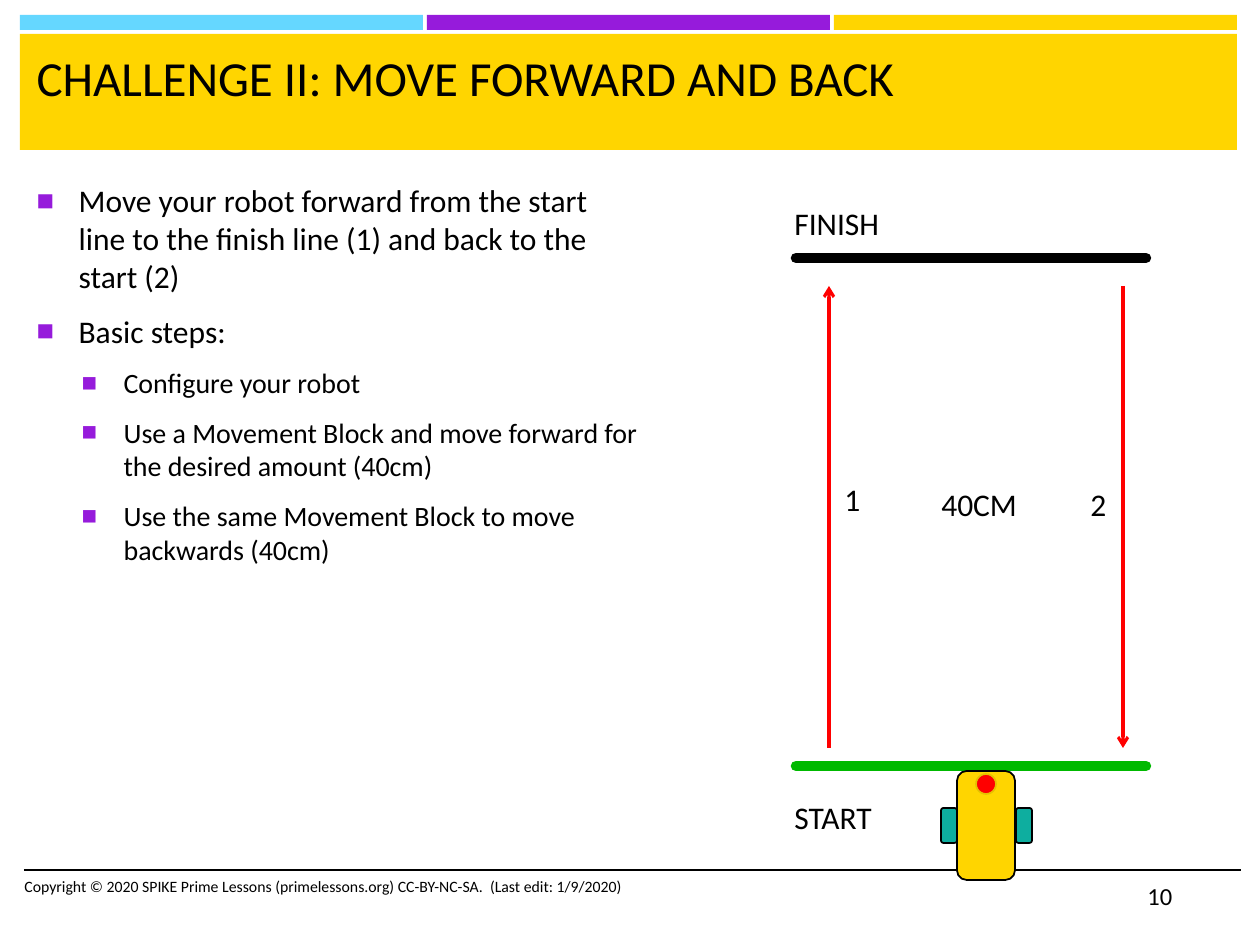
from dataclasses import dataclass

from lxml import etree
from pptx import Presentation
from pptx.dml.color import RGBColor
from pptx.enum.shapes import MSO_CONNECTOR, MSO_SHAPE
from pptx.enum.text import MSO_ANCHOR, MSO_AUTO_SIZE, PP_ALIGN
from pptx.oxml.ns import qn
from pptx.util import Emu, Pt

RECTANGLE = MSO_SHAPE.RECTANGLE
ROUNDED = MSO_SHAPE.ROUNDED_RECTANGLE
OVAL = MSO_SHAPE.OVAL
STRAIGHT = MSO_CONNECTOR.STRAIGHT
TOP, MIDDLE = MSO_ANCHOR.TOP, MSO_ANCHOR.MIDDLE
LEFT = PP_ALIGN.LEFT
NO_FIT = MSO_AUTO_SIZE.NONE

EMU_PER_PX = 914400 / 126
FONT = "Calibri"
HANGING = 42
COLOURS = {
    "sky": "65D7FF",
    "purple": "961BDB",
    "yellow": "FFD500",
    "black": "000000",
    "green": "00B900",
    "red": "FF0000",
    "teal": "0EAE9F",
    "gold": "E6C000",
}


@dataclass(frozen=True)
class Block:
    kind: MSO_SHAPE
    left: int
    top: int
    width: int
    height: int
    fill: str
    outline: str = ""


@dataclass(frozen=True)
class Stroke:
    x1: int
    y1: int
    x2: int
    y2: int
    colour: str
    weight: float
    arrow: bool = False
    rounded: bool = False


@dataclass(frozen=True)
class Label:
    text: str
    left: int
    top: int
    width: int
    size: int = 18
    anchor: MSO_ANCHOR = TOP
    wrap: bool = True


@dataclass(frozen=True)
class Bullet:
    text: str
    level: int = 0


BAR_COLOURS = ("sky", "purple", "yellow")
BAR_WIDTH, BAR_STEP = 403, 407
BANNER = [
    Block(RECTANGLE, 20 + index * BAR_STEP, 15, BAR_WIDTH, 15, colour)
    for index, colour in enumerate(BAR_COLOURS)
] + [Block(RECTANGLE, 20, 34, 1217, 116, "yellow")]

STROKES = [
    Stroke(24, 870, 1241, 870, "black", 1),
    Stroke(1146, 258, 796, 258, "black", 6, rounded=True),
    Stroke(1146, 766, 796, 766, "green", 6, rounded=True),
    Stroke(829, 748, 829, 286, "red", 1.75, arrow=True),
    Stroke(1123, 286, 1123, 748, "red", 1.75, arrow=True),
]

ROBOT = [
    Block(ROUNDED, 957, 771, 58, 109, "yellow", "black"),
    Block(ROUNDED, 1016, 808, 16, 35, "teal", "black"),
    Block(ROUNDED, 941, 808, 16, 35, "teal", "black"),
    Block(OVAL, 976, 774, 20, 20, "red", "gold"),
]

LABELS = [
    Label("Copyright © 2020 SPIKE Prime Lessons (primelessons.org) CC-BY-NC-SA.  "
          "(Last edit: 1/9/2020)", 12, 871, 672, size=9),
    Label("1", 832, 474, 43),
    Label("2", 1078, 479, 43),
    Label("FINISH", 782, 198, 130, wrap=False),
    Label("START", 782, 792, 126, wrap=False),
    Label("40CM", 929, 479, 114),
    Label("10", 1135, 871, 106, size=14, anchor=MIDDLE),
]

BULLETS = [
    Bullet("Move your robot forward from the start line to the finish line (1) "
           "and back to the start (2)"),
    Bullet("Basic steps:"),
    Bullet("Configure your robot", 1),
    Bullet("Use a Movement Block and move forward for the desired amount (40cm)", 1),
    Bullet("Use the same Movement Block to move backwards (40cm)", 1),
]


def px(value: int) -> Emu:
    return Emu(round(value * EMU_PER_PX))


def rgb(name: str) -> RGBColor:
    return RGBColor.from_string(COLOURS[name])


def apply(target, values: dict) -> None:
    for name, value in values.items():
        setattr(target, name, value)


def place(shape, left: int, top: int, width: int, height: int) -> None:
    apply(shape, {"left": px(left), "top": px(top),
                  "width": px(width), "height": px(height)})


def write(paragraph, text: str, size: int) -> None:
    paragraph.alignment = LEFT
    span = paragraph.add_run()
    span.text = text
    apply(span.font, {"name": FONT, "size": Pt(size), "bold": False})
    span.font.color.rgb = rgb("black")


def draw_block(page, block: Block) -> None:
    shape = page.shapes.add_shape(block.kind, px(block.left), px(block.top),
                                  px(block.width), px(block.height))
    shape.shadow.inherit = False
    shape.fill.solid()
    shape.fill.fore_color.rgb = rgb(block.fill)
    if block.outline:
        shape.line.color.rgb = rgb(block.outline)
        shape.line.width = Pt(1)
    else:
        shape.line.fill.background()


def draw_stroke(page, stroke: Stroke) -> None:
    connector = page.shapes.add_connector(STRAIGHT, px(stroke.x1), px(stroke.y1),
                                          px(stroke.x2), px(stroke.y2))
    connector.line.color.rgb = rgb(stroke.colour)
    connector.line.width = Pt(stroke.weight)
    outline = connector.line._get_or_add_ln()
    if stroke.rounded:
        outline.set("cap", "rnd")
    if stroke.arrow:
        etree.SubElement(outline, qn("a:tailEnd"), type="arrow")
    etree.SubElement(connector.element.spPr, qn("a:effectLst"))


def draw_label(page, label: Label) -> None:
    box = page.shapes.add_textbox(px(label.left), px(label.top), px(label.width), px(50))
    apply(box.text_frame, {"word_wrap": label.wrap, "vertical_anchor": label.anchor})
    write(box.text_frame.paragraphs[0], label.text, label.size)


def fill_title(title, text: str) -> None:
    place(title, 24, 40, 1206, 103)
    apply(title.text_frame, {"auto_size": NO_FIT, "vertical_anchor": TOP,
                             "margin_top": px(8)})
    write(title.text_frame.paragraphs[0], text, 28)


def fill_body(body, bullets: list[Bullet]) -> None:
    place(body, 24, 175, 628, 602)
    frame = body.text_frame
    apply(frame, {"auto_size": NO_FIT, "vertical_anchor": TOP})
    for index, bullet in enumerate(bullets):
        paragraph = frame.add_paragraph() if index else frame.paragraphs[0]
        size = 16 if bullet.level else 18
        properties = paragraph._p.get_or_add_pPr()
        properties.set("marL", str(px(HANGING + 45 * bullet.level)))
        properties.set("indent", str(-px(HANGING)))
        colour = etree.SubElement(properties, qn("a:buClr"))
        etree.SubElement(colour, qn("a:srgbClr"), val=COLOURS["purple"])
        etree.SubElement(properties, qn("a:buSzPct"), val="92000")
        etree.SubElement(properties, qn("a:buChar"), char="■")
        apply(paragraph, {"level": bullet.level, "space_after": Pt(6),
                          "space_before": Pt(size * 0.2 if index else 0)})
        write(paragraph, bullet.text, size)


def main() -> None:
    deck = Presentation()
    apply(deck, {"slide_width": px(1260), "slide_height": px(945)})
    page = deck.slides.add_slide(deck.slide_layouts[1])
    title, body = page.placeholders
    for block in BANNER:
        draw_block(page, block)
    for holder in (title, body):
        page.shapes.element.append(holder.element)
    fill_title(title, "CHALLENGE II: MOVE FORWARD AND BACK")
    fill_body(body, BULLETS)
    for stroke in STROKES:
        draw_stroke(page, stroke)
    for block in ROBOT:
        draw_block(page, block)
    for label in LABELS:
        draw_label(page, label)
    deck.save("out.pptx")


if __name__ == "__main__":
    main()
